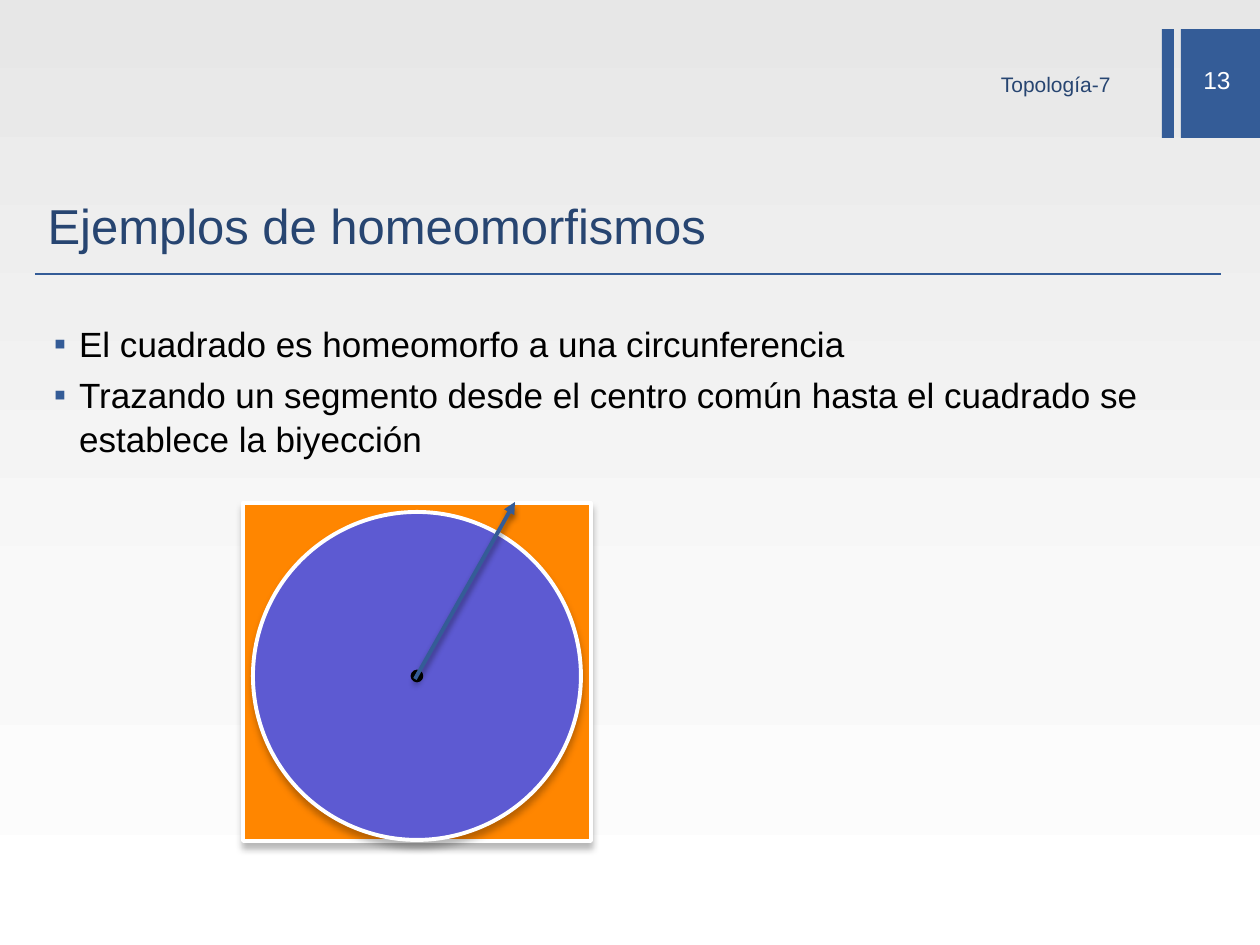
import copy
from lxml import etree
from pptx import Presentation
from pptx import util as u
from pptx.dml.color import RGBColor
from pptx.enum import shapes, text
from pptx.oxml.ns import qn

SCALE = 914400 / 126
FONT = "Arial"
BLUE = RGBColor(0x34, 0x5C, 0x97)
NAVY = RGBColor(0x27, 0x45, 0x71)
ORANGE = RGBColor(0xFF, 0x86, 0x00)
VIOLET = RGBColor(0x5D, 0x5A, 0xD2)
WHITE = RGBColor(0xFF, 0xFF, 0xFF)
BLACK = RGBColor(0x00, 0x00, 0x00)
LIGHT_GRAY = RGBColor(0xE7, 0xE7, 0xE7)
PALE_GRAY = RGBColor(0xF9, 0xF9, 0xF9)
RECTANGLE = shapes.MSO_SHAPE.RECTANGLE
OVAL = shapes.MSO_SHAPE.OVAL
LEFT, CENTER, RIGHT = text.PP_ALIGN.LEFT, text.PP_ALIGN.CENTER, text.PP_ALIGN.RIGHT
MIDDLE, TOP = text.MSO_ANCHOR.MIDDLE, text.MSO_ANCHOR.TOP


def px(length):
    return u.Emu(round(length * SCALE))


def add_node(parent, tag, **attributes):
    return etree.SubElement(parent, qn(tag), attributes)


def paint_background(page):
    fill = page.background.fill
    fill.gradient()
    fill.gradient_angle = 270
    first = fill.gradient_stops[0]._gs
    first.addnext(copy.deepcopy(first))
    colors = [(0, LIGHT_GRAY), (0.65, PALE_GRAY), (1, WHITE)]
    for stop, (position, color) in zip(fill.gradient_stops, colors):
        stop.position = position
        stop.color.rgb = color


def set_shadow(item, opacity=0, blur=4):
    effects = add_node(item._element.spPr, "a:effectLst")
    if opacity:
        shadow = add_node(effects, "a:outerShdw", blurRad=str(u.Pt(blur)),
                          dist=str(u.Pt(3)), dir="5400000", rotWithShape="0")
        color = add_node(shadow, "a:srgbClr", val=str(BLACK))
        add_node(color, "a:alpha", val=str(opacity * 1000))


def add_figure(parent, kind, frame, fill, outline=None, width=2.25, opacity=0):
    figure = parent.shapes.add_shape(kind, *map(px, frame))
    figure.fill.solid()
    figure.fill.fore_color.rgb = fill
    if outline is None:
        figure.line.fill.background()
    else:
        figure.line.color.rgb = outline
        figure.line.width = u.Pt(width)
    set_shadow(figure, opacity)


def add_line(parent, start, end, width, arrow=False, opacity=0):
    line = parent.shapes.add_connector(
        shapes.MSO_CONNECTOR.STRAIGHT, *map(px, start + end))
    line.line.color.rgb = BLUE
    line.line.width = u.Pt(width)
    if arrow:
        add_node(line._element.spPr.find(qn("a:ln")), "a:tailEnd", type="triangle")
    set_shadow(line, opacity, blur=3.8)


def write(box, content, size, color, align=LEFT, anchor=MIDDLE):
    frame = box.text_frame
    frame.text = content
    frame.word_wrap = True
    frame.auto_size = text.MSO_AUTO_SIZE.NONE
    frame.vertical_anchor = anchor
    for para in frame.paragraphs:
        para.alignment = align
        font = para.runs[0].font
        font.name = FONT
        font.size = u.Pt(size)
        font.color.rgb = color
    return frame


def place(box, frame):
    box.left, box.top, box.width, box.height = map(px, frame)
    return box


def add_bullet(para):
    para.space_before = u.Pt(4)
    para.line_spacing = 1.05
    properties = para._p.get_or_add_pPr()
    properties.set("marL", str(u.Inches(0.25)))
    properties.set("indent", str(u.Inches(-0.2)))
    add_node(add_node(properties, "a:buClr"), "a:srgbClr", val=str(BLUE))
    add_node(properties, "a:buFont", typeface=FONT)
    add_node(properties, "a:buChar", char="▪")


def add_header(page):
    add_figure(page, RECTANGLE, (1162, 29, 12, 109), BLUE)
    add_figure(page, RECTANGLE, (1181, 29, 79, 109), BLUE)
    number = page.shapes.add_textbox(*map(px, (1176, 55, 82, 50)))
    write(number, "13", size=14, color=WHITE, align=CENTER)
    topic = page.shapes.add_textbox(*map(px, (627, 66, 496, 42)))
    frame = write(topic, "Topología-7", size=12, color=NAVY, align=RIGHT)
    frame.margin_top = 0
    add_line(page, (35, 274), (1221, 274), width=1)


def add_content(page):
    title = place(page.shapes.title, (35, 175, 1186, 100))
    write(title, "Ejemplos de homeomorfismos", size=28, color=NAVY)
    body = place(page.placeholders[1], (35, 314, 1186, 556))
    points = [
        "El cuadrado es homeomorfo a una circunferencia",
        "Trazando un segmento desde el centro común hasta el cuadrado "
        "se establece la biyección",
    ]
    frame = write(body, "\n".join(points), size=20, color=BLACK, anchor=TOP)
    for para in frame.paragraphs:
        add_bullet(para)


def add_diagram(page):
    diagram = page.shapes.add_group_shape()
    add_figure(diagram, RECTANGLE, (243, 503, 348, 338), ORANGE, WHITE, opacity=28)
    add_figure(diagram, OVAL, (253, 512, 328, 328), VIOLET, WHITE, opacity=28)
    add_figure(diagram, OVAL, (412, 671, 10, 10), BLACK, BLACK, width=1.5)
    add_line(diagram, (415, 679), (515, 502), width=2.25, arrow=True, opacity=48)


def main():
    deck = Presentation()
    deck.slide_width, deck.slide_height = px(1260), px(945)
    page = deck.slides.add_slide(deck.slide_layouts[1])
    paint_background(page)
    add_header(page)
    add_content(page)
    add_diagram(page)
    deck.save("out.pptx")


if __name__ == "__main__":
    main()
